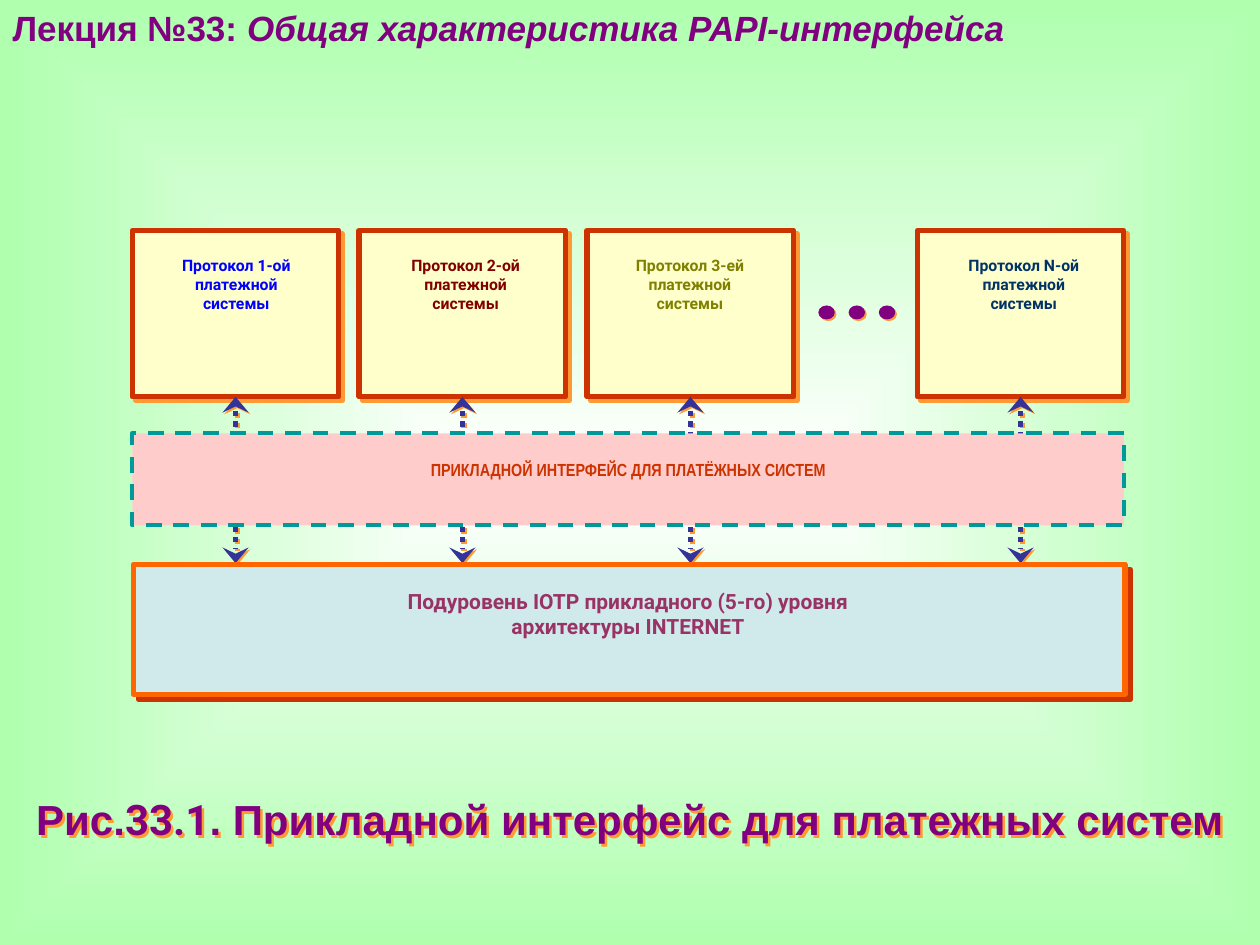
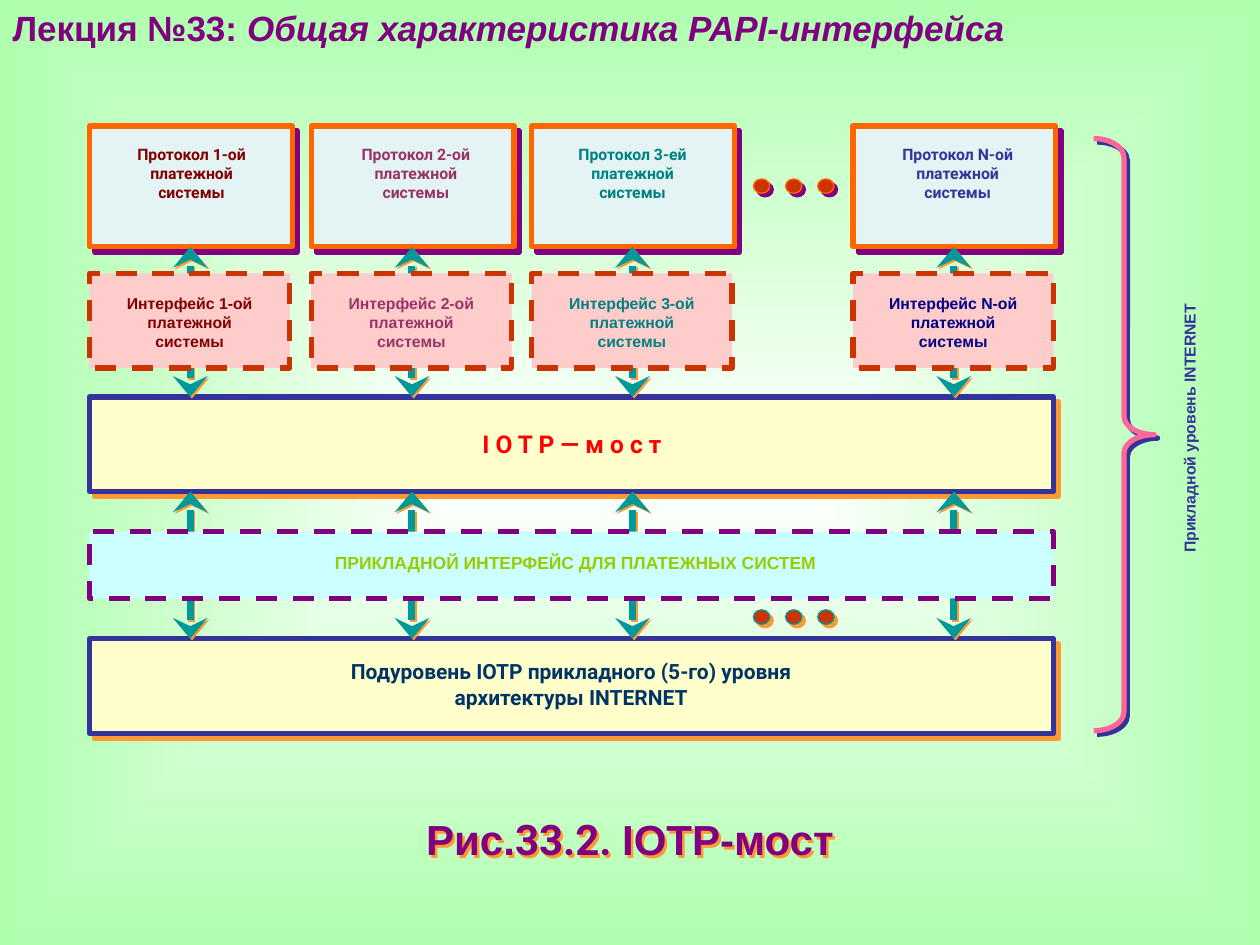
from dataclasses import dataclass
from typing import NamedTuple, Optional

from lxml.etree import SubElement
from pptx import Presentation
from pptx.dml.color import RGBColor
from pptx.enum.dml import MSO_LINE
from pptx.enum.shapes import MSO_CONNECTOR, MSO_SHAPE
from pptx.enum.text import MSO_ANCHOR, MSO_AUTO_SIZE, PP_ALIGN
from pptx.oxml.ns import qn
from pptx.util import Inches, Pt

SLIDE_WIDTH, SLIDE_HEIGHT = Inches(10), Inches(7.5)
STEP = SLIDE_WIDTH // 100  # the grid has 100 columns and 75 rows

WHITE = RGBColor(0xFF, 0xFF, 0xFF)
MINT = RGBColor(0xAF, 0xFF, 0xAF)
PURPLE = RGBColor(0x80, 0x00, 0x80)
ORANGE = RGBColor(0xFF, 0x66, 0x00)
AMBER = RGBColor(0xFF, 0x99, 0x33)
BRICK = RGBColor(0xCC, 0x33, 0x00)
CREAM = RGBColor(0xFF, 0xFF, 0xCC)
ROSE = RGBColor(0xFF, 0xCC, 0xCC)
PINK = RGBColor(0xFF, 0x66, 0x99)
PALE_BLUE = RGBColor(0xD0, 0xEA, 0xEC)
ICE = RGBColor(0xE4, 0xF3, 0xF4)
PALE_CYAN = RGBColor(0xCC, 0xFF, 0xFF)
INDIGO = RGBColor(0x33, 0x33, 0x99)
NAVY = RGBColor(0x00, 0x00, 0x80)
DEEP_BLUE = RGBColor(0x00, 0x33, 0x66)
BLUE = RGBColor(0x00, 0x00, 0xFF)
TURQUOISE = RGBColor(0x00, 0x99, 0x99)
TEAL = RGBColor(0x00, 0x80, 0x80)
MAROON = RGBColor(0x80, 0x00, 0x00)
PLUM = RGBColor(0x99, 0x33, 0x66)
OLIVE = RGBColor(0x80, 0x80, 0x00)
LIME = RGBColor(0x99, 0xCC, 0x00)
RED = RGBColor(0xFF, 0x00, 0x00)

PROTOCOLS = ["Протокол 1-ой", "Протокол 2-ой", "Протокол 3-ей", "Протокол N-ой"]
INTERFACES = [f"Интерфейс {number}-ой" for number in "123N"]
SYSTEM_LINES = ["платежной", "системы"]
IOTP_LINES = ["Подуровень IOTP прикладного (5-го) уровня", "архитектуры INTERNET"]
PROTOCOL_LABEL_SHIFTS = [0.05, 0.25, -0.05, 0.25]


class Box(NamedTuple):
    """A rectangle in grid steps."""
    left: float
    top: float
    width: float
    height: float

    def emu(self) -> list[int]:
        return [round(value * STEP) for value in self]


class Shadow(NamedTuple):
    color: RGBColor
    distance: float


@dataclass(frozen=True)
class Style:
    fill: Optional[RGBColor]
    line: RGBColor
    weight: float = 3
    dash: Optional[MSO_LINE] = None
    shadow: Optional[Shadow] = None


@dataclass(frozen=True)
class TextStyle:
    color: RGBColor
    size: float = 9
    font: str = "Roboto"


ARROW_SHADOW = Shadow(AMBER, 1.4)
DOTTED_ARROW = Style(None, INDIGO, dash=MSO_LINE.ROUND_DOT, shadow=ARROW_SHADOW)
SOLID_ARROW = Style(None, TURQUOISE, 4, shadow=ARROW_SHADOW)
CREAM_BAND = Style(CREAM, INDIGO, shadow=Shadow(AMBER, 4.2))


def set_effects(shape, shadow: Optional[Shadow]) -> None:
    """Replace inherited effects; call after fill and line are set."""
    effects = SubElement(shape.element.spPr, qn("a:effectLst"))
    if shadow:
        outer = SubElement(effects, qn("a:outerShdw"), blurRad="0", dist=str(Pt(shadow.distance)),
                           dir="2700000", algn="ctr", rotWithShape="0")
        SubElement(outer, qn("a:srgbClr"), val=str(shadow.color))


def set_line(shape, style: Style) -> None:
    shape.line.color.rgb = style.line
    shape.line.width = Pt(style.weight)
    if style.dash:
        shape.line.dash_style = style.dash


def add_figure(slide, box: Box, style: Style, kind=MSO_SHAPE.RECTANGLE):
    shape = slide.shapes.add_shape(kind, *box.emu())
    if style.fill is None:
        shape.fill.background()
    else:
        shape.fill.solid()
        shape.fill.fore_color.rgb = style.fill
    set_line(shape, style)
    set_effects(shape, style.shadow)
    return shape


def add_arrow(slide, x: float, top: float, bottom: float, style: Style) -> None:
    start_x, start_y, end_x, end_y = Box(x, top, x, bottom).emu()
    arrow = slide.shapes.add_connector(MSO_CONNECTOR.STRAIGHT, start_x, start_y, end_x, end_y)
    set_line(arrow, style)
    line = arrow.element.spPr.find(qn("a:ln"))
    for end in ("a:headEnd", "a:tailEnd"):
        SubElement(line, qn(end), type="stealth", w="lg", len="med")
    set_effects(arrow, style.shadow)


def add_dots(slide, first: Box, pitch: float, style: Style) -> None:
    for index in range(3):
        add_figure(slide, first._replace(left=first.left + index * pitch), style, MSO_SHAPE.OVAL)


def add_label(slide, lines: list[str], box: Box, style: TextStyle):
    label = slide.shapes.add_textbox(*box.emu())
    frame = label.text_frame
    frame.word_wrap = False
    frame.text = "\n".join(lines)
    for paragraph in frame.paragraphs:
        paragraph.alignment = PP_ALIGN.CENTER
        paragraph.font.name = style.font
        paragraph.font.size = Pt(style.size)
        paragraph.font.bold = True
        paragraph.font.color.rgb = style.color
    return label


def add_protocols(slide, lefts: list[float], first: Box, style: Style, colors: list[RGBColor],
                  label_top: float) -> None:
    for left, name, color, shift in zip(lefts, PROTOCOLS, colors, PROTOCOL_LABEL_SHIFTS):
        box = first._replace(left=left)
        add_figure(slide, box, style)
        add_label(slide, [name, *SYSTEM_LINES], box._replace(left=left + shift, top=label_top),
                  TextStyle(color))


def style_heading(paragraph, size: float) -> None:
    paragraph.font.size = Pt(size)
    paragraph.font.name = "Arial"
    paragraph.font.bold = True
    paragraph.font.color.rgb = PURPLE


def add_slide(presentation):
    """Add a slide with the lecture heading."""
    slide = presentation.slides.add_slide(presentation.slide_layouts[5])
    title = slide.shapes.title
    title.left, title.top, title.width, title.height = Box(0, 0, 100, 4.3).emu()
    frame = title.text_frame
    frame.vertical_anchor = MSO_ANCHOR.TOP
    frame.auto_size = MSO_AUTO_SIZE.SHAPE_TO_FIT_TEXT
    paragraph = frame.paragraphs[0]
    paragraph.alignment = PP_ALIGN.LEFT
    style_heading(paragraph, 20)
    paragraph.add_run().text = "Лекция №33: "
    topic = paragraph.add_run()
    topic.text = "Общая характеристика PAPI-интерфейса"
    topic.font.italic = True
    return slide


def add_caption(slide, top: float, number: str, name: str) -> None:
    caption = slide.shapes.add_textbox(*Box(0, top, 100, 4).emu())
    frame = caption.text_frame
    frame.word_wrap = True
    frame.vertical_anchor = MSO_ANCHOR.MIDDLE
    frame.margin_left = frame.margin_right = frame.margin_top = frame.margin_bottom = 0
    paragraph = frame.paragraphs[0]
    paragraph.alignment = PP_ALIGN.CENTER
    style_heading(paragraph, 24)
    for text, font in (("Рис.", "Arial"), (number, "Roboto"), (name, "Arial")):
        run = paragraph.add_run()
        run.text = text
        run.font.name = font
    set_effects(caption, Shadow(AMBER, 2))


def set_background(master) -> None:
    """Fill the master with a gradient that spreads from the centre."""
    fill = master.background.fill
    fill.gradient()
    for stop, color in zip(fill.gradient_stops, (WHITE, MINT)):
        stop.color.rgb = color
    gradient = master.element.find(".//" + qn("p:bg")).find(".//" + qn("a:gradFill"))
    gradient.remove(gradient.find(qn("a:lin")))
    path = SubElement(gradient, qn("a:path"), path="shape")
    SubElement(path, qn("a:fillToRect"), l="50000", t="50000", r="50000", b="50000")


def build_interface_slide(presentation) -> None:
    slide = add_slide(presentation)
    lefts = [10.5, 28.5, 46.6, 72.8]
    protocol = Box(lefts[0], 18.3, 16.4, 13.2)
    add_protocols(slide, lefts, protocol, Style(CREAM, BRICK, shadow=Shadow(AMBER, 2.8)),
                  [BLUE, MAROON, OLIVE, DEEP_BLUE], 19.8)
    for left in lefts:
        add_arrow(slide, left + protocol.width / 2, 31.5, 44.7, DOTTED_ARROW)
    add_figure(slide, Box(10.5, 34.4, 78.7, 7.3), Style(ROSE, TURQUOISE, 2.25, MSO_LINE.DASH))
    add_figure(slide, Box(10.6, 44.8, 78.7, 10.3),
               Style(PALE_BLUE, ORANGE, shadow=Shadow(BRICK, 4.2)))
    add_dots(slide, Box(65, 24.3, 1.2, 1), 2.4, Style(PURPLE, PURPLE, 0.75, shadow=ARROW_SHADOW))
    add_label(slide, ["ПРИКЛАДНОЙ ИНТЕРФЕЙС ДЛЯ ПЛАТЁЖНЫХ СИСТЕМ"], Box(12.1, 35.9, 75.5, 4.4),
              TextStyle(BRICK, 10, "Arial Narrow"))
    add_label(slide, IOTP_LINES, Box(12.1, 46.2, 75.5, 7.3), TextStyle(PLUM, 12))
    add_caption(slide, 63, "33.1", ". Прикладной интерфейс для платежных систем")


def build_bridge_slide(presentation) -> None:
    slide = add_slide(presentation)
    lefts = [7.1, 24.7, 42.2, 67.7]
    add_protocols(slide, lefts, Box(lefts[0], 10, 16.1, 9.6),
                  Style(ICE, ORANGE, shadow=Shadow(PURPLE, 4.2)),
                  [MAROON, PLUM, TEAL, INDIGO], 11)
    for top in (31.5, 50.7):
        add_figure(slide, Box(7.1, top, 76.5, 7.5), CREAM_BAND)
    add_label(slide, ["I O T P — м о с т"], Box(21.5, 33.6, 47.8, 3.7), TextStyle(RED, 14))
    add_label(slide, IOTP_LINES, Box(8.7, 51.8, 73.3, 5.3), TextStyle(DEEP_BLUE, 12))

    for left in lefts:
        for top, bottom in ((19.6, 31.5), (39, 50.7)):
            add_arrow(slide, left + 8, top, bottom, SOLID_ARROW)
    add_figure(slide, Box(7.1, 42.2, 76.5, 5.3), Style(PALE_CYAN, PURPLE, dash=MSO_LINE.DASH))
    add_label(slide, ["ПРИКЛАДНОЙ ИНТЕРФЕЙС ДЛЯ ПЛАТЕЖНЫХ СИСТЕМ"], Box(8.7, 43.3, 73.9, 3.2),
              TextStyle(LIME, 10, "Arial"))
    for left, name, color in zip(lefts, INTERFACES, (MAROON, PLUM, TEAL, NAVY)):
        add_figure(slide, Box(left, 21.7, 15.9, 7.5), Style(ROSE, BRICK, dash=MSO_LINE.DASH))
        add_label(slide, [name, *SYSTEM_LINES], Box(left + 1.6, 22.8, 12.7, 5.3),
                  TextStyle(color, font="Arial"))

    for top, line, shadow in ((14.2, ORANGE, PURPLE), (48.4, TURQUOISE, AMBER)):
        add_dots(slide, Box(59.8, top, 1.3, 1.15), 2.55,
                 Style(BRICK, line, 0.75, shadow=Shadow(shadow, 2.8)))
    brace = add_figure(slide, Box(86.8, 11, 4.8, 47),
                       Style(None, PINK, shadow=Shadow(INDIGO, 2.8)), MSO_SHAPE.RIGHT_BRACE)
    brace.adjustments[0] = 0.31
    level = add_label(slide, ["Прикладной уровень INTERNET"], Box(71.8, 32.4, 45.9, 3.2),
                      TextStyle(INDIGO, font="Arial"))
    level.rotation = 270
    add_caption(slide, 64.6, "33.2. ", "IOTP-мост")


def main() -> None:
    presentation = Presentation()
    presentation.slide_width, presentation.slide_height = SLIDE_WIDTH, SLIDE_HEIGHT
    set_background(presentation.slide_master)
    build_interface_slide(presentation)
    build_bridge_slide(presentation)
    presentation.save("out.pptx")


if __name__ == "__main__":
    main()
